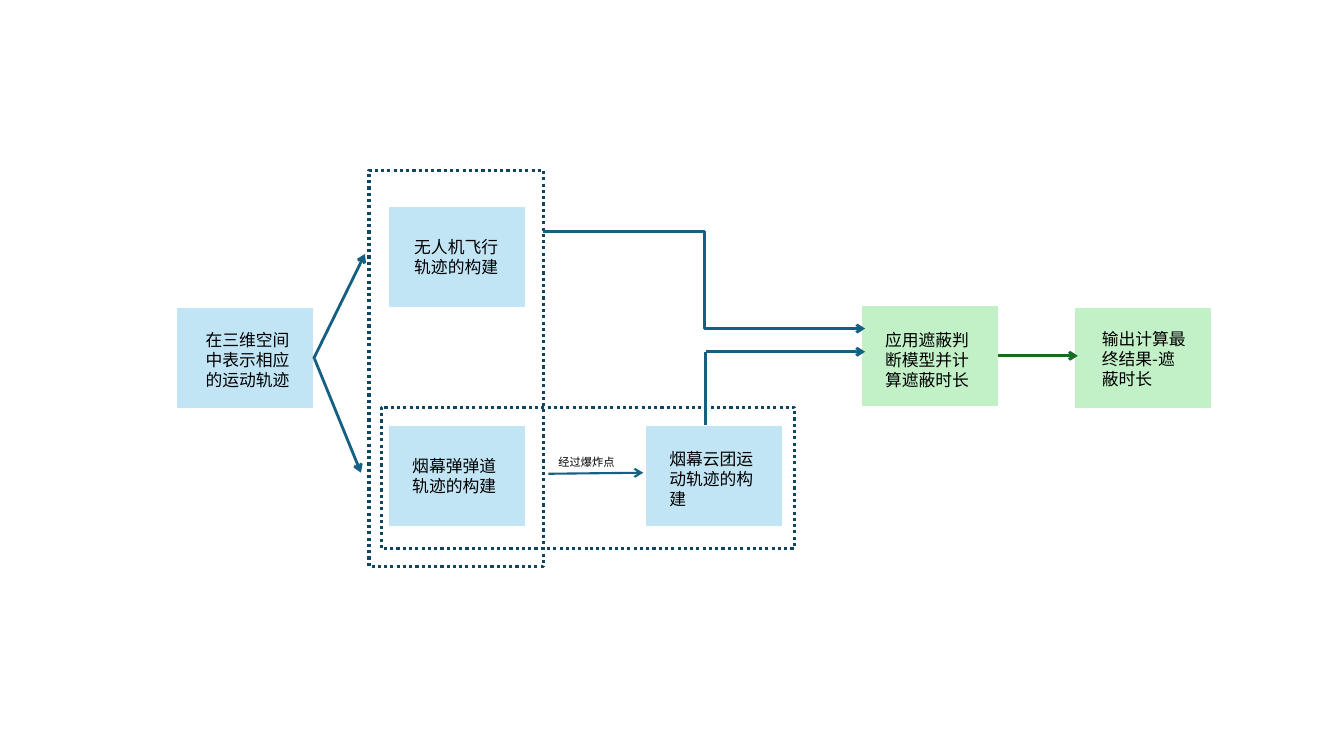
from dataclasses import dataclass

from lxml import etree
from pptx import Presentation
from pptx.dml.color import RGBColor
from pptx.enum.dml import MSO_LINE
from pptx.enum.shapes import MSO_CONNECTOR, MSO_SHAPE
from pptx.enum.text import MSO_AUTO_SIZE
from pptx.oxml.ns import qn
from pptx.util import Inches, Pt

RECTANGLE = MSO_SHAPE.RECTANGLE
STRAIGHT, ELBOW = MSO_CONNECTOR.STRAIGHT, MSO_CONNECTOR.ELBOW
DOTTED = MSO_LINE.ROUND_DOT
GROW, FIXED = MSO_AUTO_SIZE.SHAPE_TO_FIT_TEXT, MSO_AUTO_SIZE.NONE


@dataclass(frozen=True)
class Theme:
    font: str = "Noto Sans CJK SC"
    step_size: float = 12
    label_size: float = 8
    text: RGBColor = RGBColor.from_string("000000")
    edge: RGBColor = RGBColor.from_string("FFFFFF")
    track: RGBColor = RGBColor.from_string("C1E5F5")
    result: RGBColor = RGBColor.from_string("C2F1C8")
    group: RGBColor = RGBColor.from_string("104760")
    flow: RGBColor = RGBColor.from_string("156082")
    output: RGBColor = RGBColor.from_string("196B24")


THEME = Theme()
STEP_WIDTH, STEP_HEIGHT = 1.36, 1

prs = Presentation()
prs.slide_width, prs.slide_height = Inches(13.33), Inches(7.5)
slide = prs.slides.add_slide(prs.slide_layouts[6])


def add_box(left, top, width, height, line_color, line_width):
    box = slide.shapes.add_shape(
        RECTANGLE, Inches(left), Inches(top), Inches(width), Inches(height))
    box.shadow.inherit = False
    box.line.color.rgb = line_color
    box.line.width = Pt(line_width)
    return box


def add_text(words, left, top, width, height, size, fit):
    text_box = slide.shapes.add_textbox(
        Inches(left), Inches(top), Inches(width), Inches(height))
    frame = text_box.text_frame
    frame.word_wrap = True
    frame.auto_size = fit
    run = frame.paragraphs[0].add_run()
    run.text = words
    run.font.size = Pt(size)
    run.font.name = THEME.font
    run.font.color.rgb = THEME.text
    east_asian = etree.SubElement(run.font._element, qn("a:ea"))
    east_asian.set("typeface", THEME.font)


# Connectors: kind, start, end, colour, width, arrowhead
flows = [
    (STRAIGHT, (3.11, 3.56), (3.62, 2.52), THEME.flow, 2, True),
    (STRAIGHT, (3.12, 3.56), (3.58, 4.69), THEME.flow, 2, True),
    (STRAIGHT, (5.44, 4.7), (6.38, 4.69), THEME.flow, 1.5, True),
    (STRAIGHT, (9.9, 3.53), (10.69, 3.53), THEME.output, 2, True),
    (ELBOW, (5.39, 2.3), (8.58, 3.26), THEME.flow, 2, True),
    (STRAIGHT, (7, 3.49), (7, 4.22), THEME.flow, 2, False),
    (STRAIGHT, (7, 3.49), (8.58, 3.49), THEME.flow, 2, True),
]

# Steps: box position and fill, then text, its place and its fit
steps = [
    (1.75, 3.05, THEME.track, "在三维空间中表示相应的运动轨迹", (1.94, 3.22, 1.05, 0.71), GROW),
    (3.85, 2.05, THEME.track, "无人机飞行轨迹的构建", (4.01, 2.3, 1.05, 0.5), GROW),
    (3.85, 4.22, THEME.track, "烟幕弹弹道轨迹的构建", (3.99, 4.47, 1.12, 0.5), GROW),
    (6.4, 4.22, THEME.track, "烟幕云团运动轨迹的构建", (6.54, 4.4, 1.12, 0.71), GROW),
    (8.54, 3.03, THEME.result, "应用遮蔽判断模型并计算遮蔽时长", (8.68, 3.22, 1.07, 0.71), GROW),
    (10.66, 3.05, THEME.result, "输出计算最终结果-遮蔽时长", (10.83, 3.21, 1.03, 0.71), FIXED),
]

# Step boxes with their text
for left, top, fill, words, place, fit in steps:
    step = add_box(left, top, STEP_WIDTH, STEP_HEIGHT, THEME.edge, 0.75)
    step.fill.solid()
    step.fill.fore_color.rgb = fill
    add_text(words, *place, THEME.step_size, fit)

# Dotted frames around the grouped steps
for place in [(3.66, 1.69, 1.73, 3.93), (3.78, 4.04, 4.1, 1.4)]:
    group = add_box(*place, THEME.group, 2.25)
    group.fill.background()
    group.line.dash_style = DOTTED

# Flow lines and arrows
for kind, start, end, color, width, has_arrow in flows:
    flow = slide.shapes.add_connector(
        kind, *(Inches(value) for value in start + end))
    flow.line.color.rgb = color
    flow.line.width = Pt(width)
    if has_arrow:
        etree.SubElement(flow.line._get_or_add_ln(), qn("a:tailEnd")).set("type", "arrow")
    etree.SubElement(flow._element.spPr, qn("a:effectLst"))

# Label on the arrow between the two smoke steps
add_text("经过爆炸点", 5.44, 4.47, 0.92, 0.47, THEME.label_size, FIXED)

prs.save("out.pptx")
